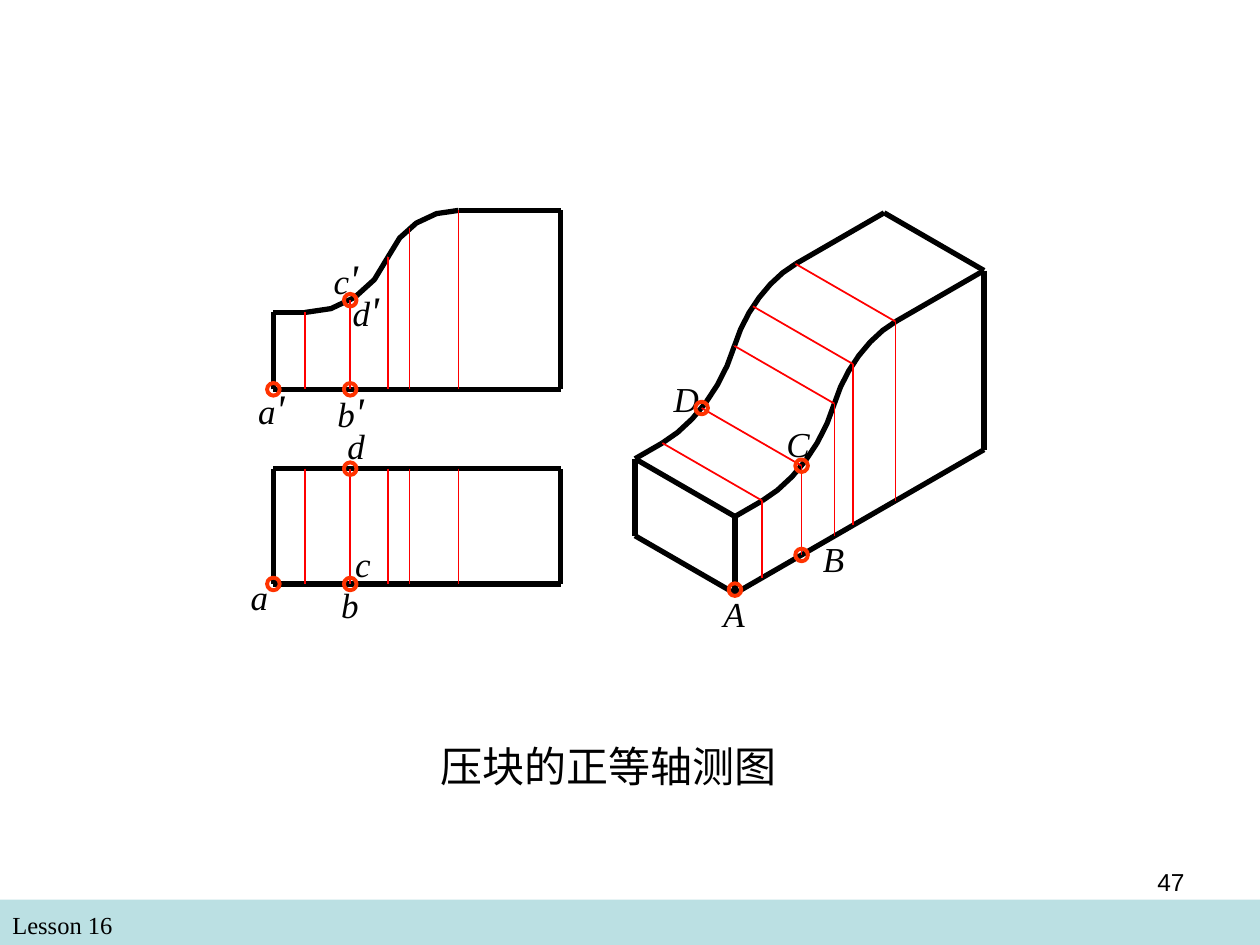
from dataclasses import dataclass
from itertools import pairwise
from math import asin, cos, hypot, radians, sin, sqrt

from lxml.etree import SubElement
from pptx import Presentation
from pptx.dml.color import RGBColor as Rgb
from pptx.enum.shapes import MSO_CONNECTOR as Connector, MSO_SHAPE as Shape
from pptx.enum.text import PP_ALIGN as Align
from pptx.oxml.ns import qn
from pptx.util import Inches, Pt

CELL = Inches(0.1)
COLUMNS, ROWS = 100, 75


@dataclass(frozen=True)
class Theme:
    ink: Rgb = Rgb(0, 0, 0)
    guide: Rgb = Rgb(0xFF, 0, 0)
    marker: Rgb = Rgb(0xFF, 0x33, 0)
    band: Rgb = Rgb(0xBB, 0xE0, 0xE3)
    serif: str = "Times New Roman"
    sans: str = "Arial"
    title: int = 24
    prime: int = 24
    label: int = 20
    footer: int = 14
    outline: float = 3
    thin: float = 1
    ring: float = 2.25


@dataclass(frozen=True)
class Box:
    left: float
    top: float
    width: float
    height: float

    @property
    def bottom(self):
        return self.top + self.height

    def emu(self):
        return [cells(v) for v in (self.left, self.top, self.width, self.height)]


THEME = Theme()
LENGTH, DEPTH, LOW, HIGH = 22.8, 9.15, 6.1, 14.2
CURVE_START, CURVE_MIDDLE, CURVE_END = 2.5, 9.1, 14.7
BEND = 10.5
MARKED = 6.1
STATIONS = (CURVE_START, MARKED, CURVE_MIDDLE, 10.8, CURVE_END)
COS30, SIN30 = cos(radians(30)), sin(radians(30))


def cells(count):
    return round(count * CELL)


def arc_radius(run, rise):
    return hypot(run, rise) ** 2 / (2 * rise)


LOWER_RUN, UPPER_RUN = CURVE_MIDDLE - CURVE_START, CURVE_END - CURVE_MIDDLE
LOWER_RADIUS = arc_radius(LOWER_RUN, BEND - LOW)
UPPER_RADIUS = arc_radius(UPPER_RUN, HIGH - BEND)


def surface_height(u):
    if u <= CURVE_MIDDLE:
        return LOW + LOWER_RADIUS - sqrt(LOWER_RADIUS**2 - (u - CURVE_START) ** 2)
    return HIGH - UPPER_RADIUS + sqrt(UPPER_RADIUS**2 - (CURVE_END - u) ** 2)


def curve_arcs(steps):
    def runs(radius, run):
        return [radius * sin(asin(run / radius) * i / steps) for i in range(steps + 1)]

    lower = [CURVE_START + run for run in runs(LOWER_RADIUS, LOWER_RUN)]
    upper = [CURVE_END - run for run in runs(UPPER_RADIUS, UPPER_RUN)]
    return [[(u, surface_height(u)) for u in arc] for arc in (lower, upper)]


def draw_line(slide, start, end, color=THEME.ink, weight=THEME.outline):
    line = slide.shapes.add_connector(
        Connector.STRAIGHT, *(cells(v) for v in (*start, *end)))
    line.line.color.rgb = color
    line.line.width = Pt(weight)
    SubElement(line._element.spPr, qn("a:effectLst"))


def draw_guide(slide, start, end):
    draw_line(slide, start, end, THEME.guide, THEME.thin)


def draw_curve(slide, points):
    points = [(cells(x), cells(y)) for x, y in points]
    builder = slide.shapes.build_freeform(*points[0], scale=1.0)
    builder.add_line_segments(points[1:], close=False)
    curve = builder.convert_to_shape()
    curve.shadow.inherit = False
    curve.fill.background()
    curve.line.color.rgb = THEME.ink
    curve.line.width = Pt(THEME.outline)


def write(slide, box, pieces, size, font=THEME.serif, align=Align.LEFT, italic=False):
    frame = slide.shapes.add_textbox(*box.emu()).text_frame
    frame.word_wrap = True
    paragraph = frame.paragraphs[0]
    paragraph.alignment = align
    paragraph.font.name = font
    paragraph.font.size = Pt(size)
    paragraph.font.italic = italic
    paragraph.font.color.rgb = THEME.ink
    for piece in pieces:
        run = paragraph.add_run()
        run.text = piece
        if piece == "'":
            run.font.size = Pt(THEME.prime)


def label_points(slide, labels):
    for text, (x, y), (dx, dy) in labels:
        primed = text.endswith("'")
        box = Box(x + dx, y + dy, 6.7 if primed else 5, 5 if primed else 4.4)
        write(slide, box, list(text), THEME.label, italic=True)
    for x, y in dict.fromkeys(point for _, point, _ in labels):
        ring = slide.shapes.add_shape(Shape.OVAL, *Box(x - 0.5, y - 0.5, 1, 1).emu())
        ring.shadow.inherit = False
        ring.fill.background()
        ring.line.color.rgb = THEME.marker
        ring.line.width = Pt(THEME.ring)


def front_view(slide, box):
    scale = box.width / LENGTH

    def at(u, h):
        return box.left + u * scale, box.bottom - h * scale

    edges = [((0, 0), (0, LOW)), ((0, LOW), (CURVE_START, LOW)),
             ((CURVE_END, HIGH), (LENGTH, HIGH)), ((LENGTH, HIGH), (LENGTH, 0)),
             ((LENGTH, 0), (0, 0))]
    for start, end in edges:
        draw_line(slide, at(*start), at(*end))
    for arc in curve_arcs(4):
        draw_curve(slide, [at(*point) for point in arc])
    for u in STATIONS:
        draw_guide(slide, at(u, surface_height(u)), at(u, 0))
    c = at(MARKED, surface_height(MARKED))
    label_points(slide, [("a'", at(0, 0), (-2.2, -1)),
                         ("b'", at(MARKED, 0), (-2, -0.8)),
                         ("c'", c, (-2.3, -4.3)), ("d'", c, (-0.8, -1.7))])


def top_view(slide, box):
    scale = box.width / LENGTH

    def at(u, v):
        return box.left + u * scale, box.bottom - v * scale

    for u in (0, LENGTH):
        draw_line(slide, at(u, 0), at(u, DEPTH))
    for start, end in pairwise((0, CURVE_START, CURVE_MIDDLE, CURVE_END, LENGTH)):
        for v in (0, DEPTH):
            draw_line(slide, at(start, v), at(end, v))
    for u in STATIONS:
        draw_guide(slide, at(u, DEPTH), at(u, 0))
    b = at(MARKED, 0)
    label_points(slide, [("a", at(0, 0), (-2.8, -1.2)), ("b", b, (-1.7, -0.5)),
                         ("c", b, (-0.6, -3.8)),
                         ("d", at(MARKED, DEPTH), (-1.2, -4))])


def isometric_view(slide, box):
    scale = box.width / ((LENGTH + DEPTH) * COS30)

    def at(u, h, v=0):
        return (box.left + (DEPTH + u - v) * COS30 * scale,
                box.bottom - ((u + v) * SIN30 + h) * scale)

    for u, h in ((0, 0), (0, LOW), (LENGTH, HIGH)):
        draw_line(slide, at(u, h), at(u, h, DEPTH))
    for v in (0, DEPTH):
        draw_line(slide, at(0, 0, v), at(0, LOW, v))
        draw_line(slide, at(0, LOW, v), at(CURVE_START, LOW, v))
        for arc in curve_arcs(6):
            draw_curve(slide, [at(*point, v) for point in arc])
        draw_line(slide, at(CURVE_END, HIGH, v), at(LENGTH, HIGH, v))
    draw_line(slide, at(LENGTH, HIGH), at(LENGTH, 0))
    draw_line(slide, at(LENGTH, 0), at(0, 0))
    for u in STATIONS:
        h = surface_height(u)
        draw_guide(slide, at(u, h), at(u, 0))
        draw_guide(slide, at(u, h), at(u, h, DEPTH))
    h = surface_height(MARKED)
    label_points(slide, [("A", at(0, 0.3), (-1.9, -0.3)),
                         ("B", at(MARKED, 0), (0.7, -1.9)),
                         ("C", at(MARKED, h), (-2.2, -3.9)),
                         ("D", at(MARKED, h, DEPTH), (-3.2, -2.9))])


def footer(slide, box):
    band = slide.shapes.add_shape(Shape.RECTANGLE, *box.emu())
    band.shadow.inherit = False
    band.fill.solid()
    band.fill.fore_color.rgb = THEME.band
    band.line.fill.background()
    write(slide, Box(box.left, box.top + 0.3, 48.3, 3.4), ["Lesson 16"], THEME.footer)
    write(slide, Box(71.7, box.top - 3.1, 23.3, 5.2), ["47"], THEME.footer,
          THEME.sans, Align.RIGHT)


def main():
    deck = Presentation()
    deck.slide_width, deck.slide_height = cells(COLUMNS), cells(ROWS)
    slide = deck.slides.add_slide(deck.slide_layouts[6])
    footer(slide, Box(0, 71.4, COLUMNS, 3.6))
    front_view(slide, Box(21.7, 16.7, LENGTH, HIGH))
    top_view(slide, Box(21.7, 37.2, LENGTH, DEPTH))
    isometric_view(slide, Box(50.4, 17, 27.7, 30.1))
    write(slide, Box(33.3, 58.3, 30, 5), ["压块的正等轴测图"], THEME.title,
          align=Align.CENTER)
    deck.save("out.pptx")


if __name__ == "__main__":
    main()
